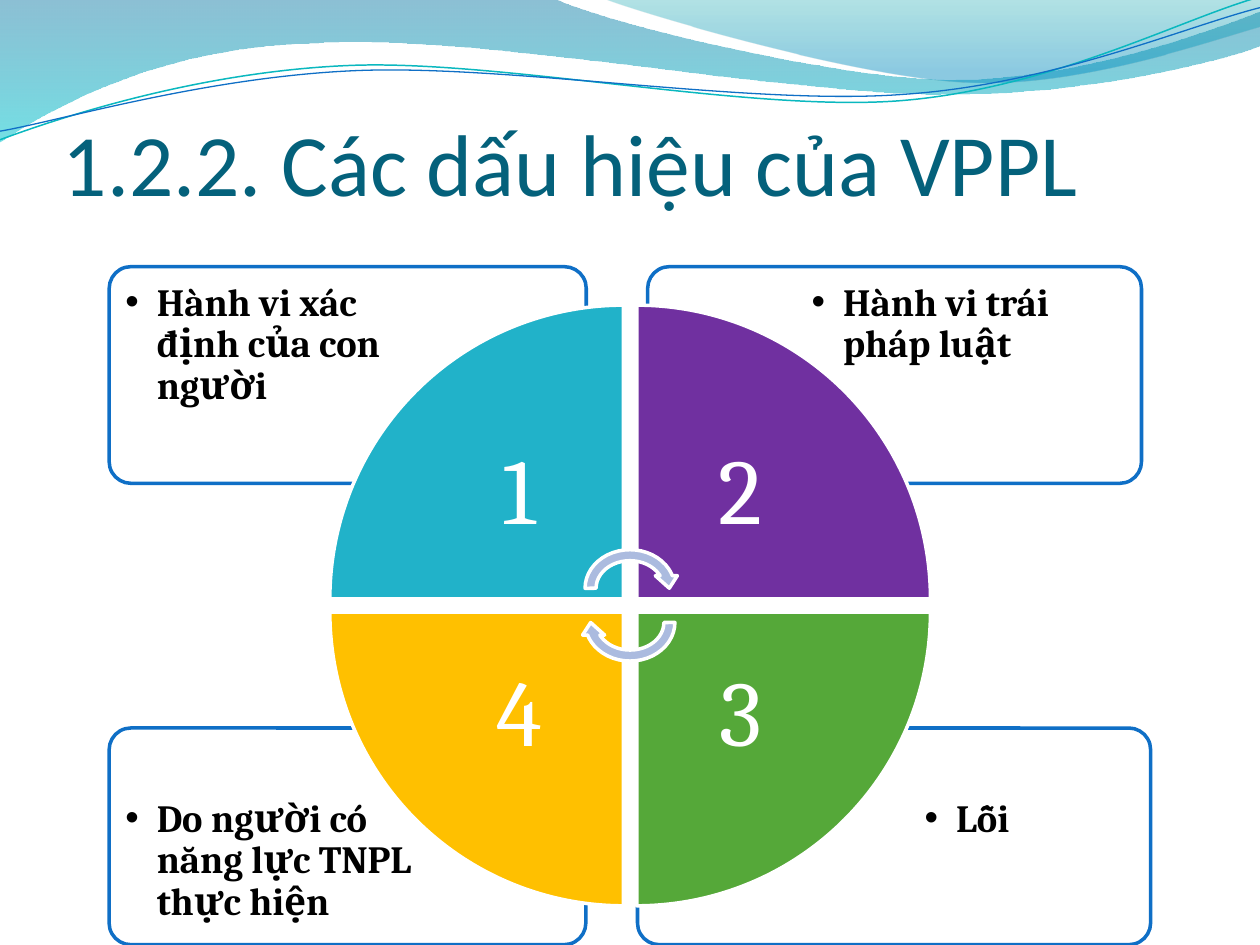
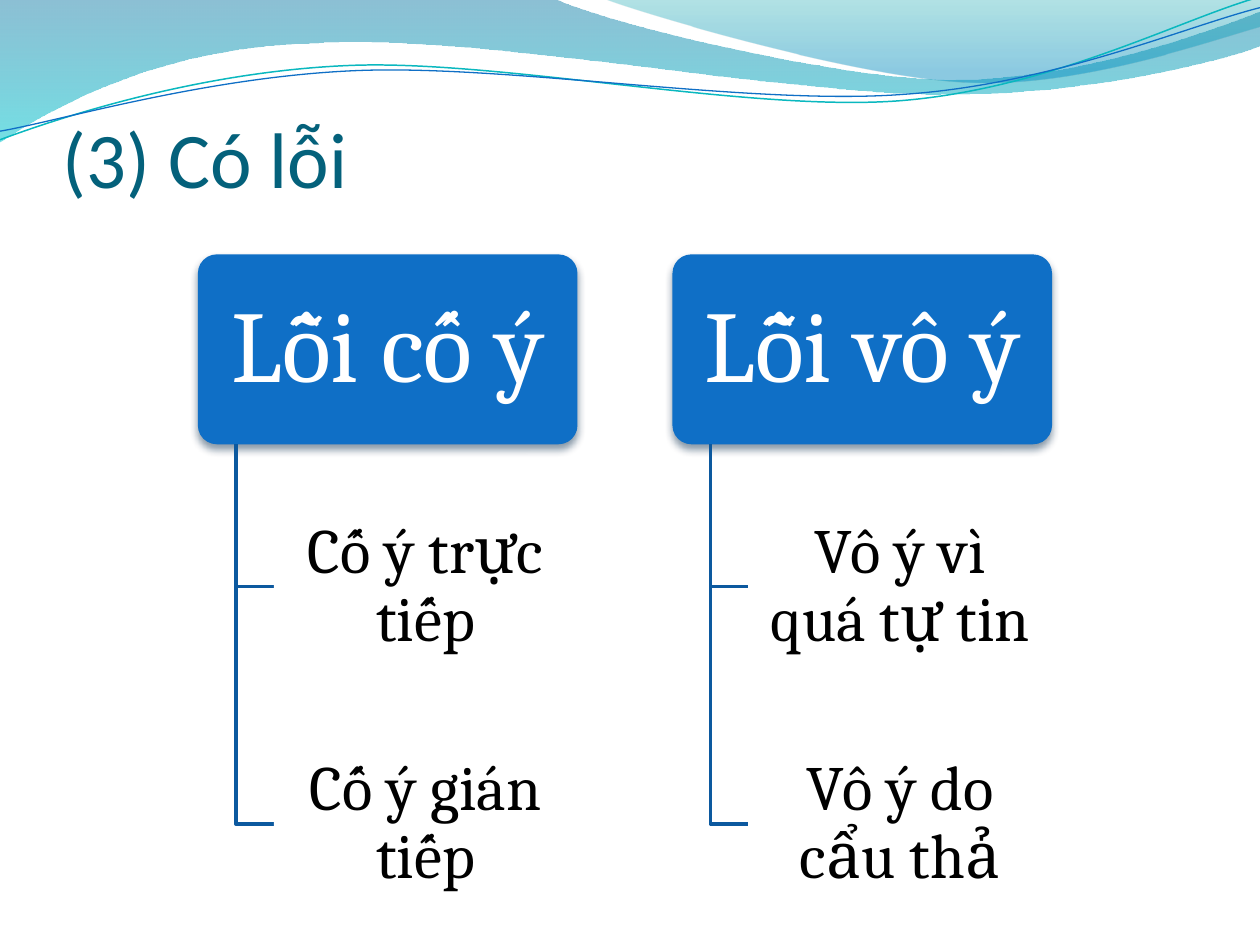
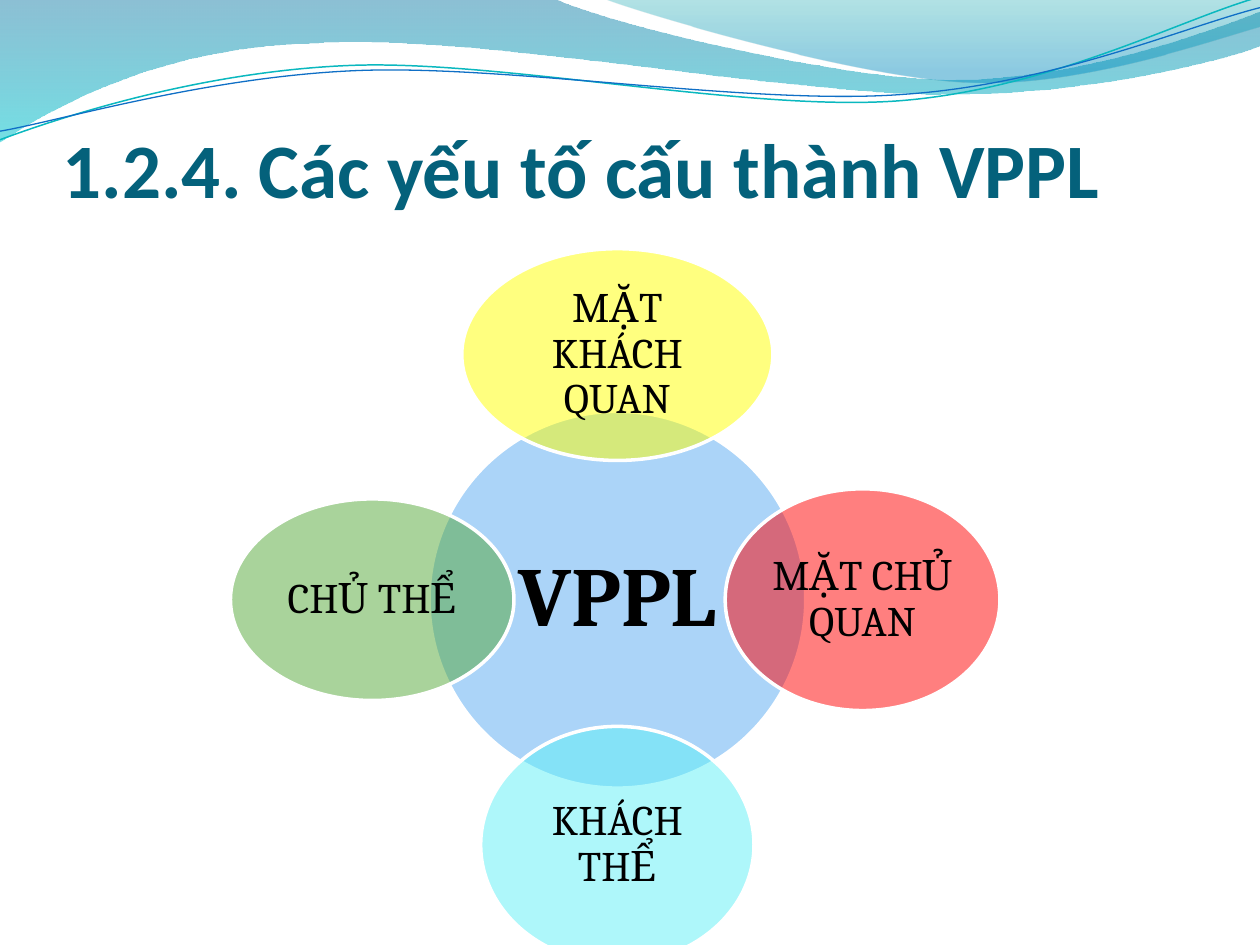
"""Three slides on the signs, faults and elements of a legal violation (VPPL)."""
from lxml import etree
from pptx import Presentation
from pptx.dml.color import RGBColor
from pptx.enum.shapes import MSO_SHAPE
from pptx.enum.text import MSO_ANCHOR, PP_ALIGN
from pptx.oxml.ns import qn
from pptx.util import Pt

LEFT, CENTER = PP_ALIGN.LEFT, PP_ALIGN.CENTER
TOP, MIDDLE, BOTTOM = MSO_ANCHOR.TOP, MSO_ANCHOR.MIDDLE, MSO_ANCHOR.BOTTOM
ROUNDED, OVAL = MSO_SHAPE.ROUNDED_RECTANGLE, MSO_SHAPE.OVAL
WEDGE, CURVED_ARROW = MSO_SHAPE.PIE_WEDGE, MSO_SHAPE.CIRCULAR_ARROW

TITLE_FONT, BODY_FONT = "Calibri", "Cambria"
TITLE_COLOR, BLUE, DARK_BLUE = "04617B", "0F6FC6", "0C599F"
WHITE, BLACK, GREEN = "FFFFFF", "000000", "55A839"
WAVE_TILT = -2.7

# start, segments (2 numbers: line, 6 numbers: curve), gradient stops
WAVE_BANDS = [
    ((0, 0),
     [(316.8, -0.7), (342.7, 12.2, 478.1, 45.4, 545.8, 45.4),
      (614.2, 45.4, 689.8, 18.7, 720, 6.5), (720.7, 25.9),
      (707.8, 31.7, 626.4, 54.7, 537.1, 54), (447.8, 54, 275, 20.2, 185, 24.5),
      (92.9, 25.9, 33.1, 59.8, -0.7, 81.4)],
     [(0, "0074A1", 45), (1, "00C6CF", 55)]),
    ((344.9, -0.7),
     [(366.5, 7.9, 491, 44.6, 553.7, 46.8), (616.3, 49.7, 691.9, 23, 720, 15.1),
      (720, 0)],
     [(0, "00A1A9", 30), (0.8, "008BBF", 45)]),
]
# start, segments, colour, width
WAVE_LINES = [
    ((-1.4, 62.9),
     [(33.7, 51.7, 114, 29.4, 199.8, 29.9), (284.8, 30.3, 425.8, 67.2, 512.4, 64.9),
      (599, 62.4, 676.4, 25.7, 720.2, 15.6)], "0AB8BF", 0.85),
    ((-1.2, 58),
     [(33, 53.8, 118.3, 32.5, 204, 33), (290.5, 33.5, 428.9, 63.8, 515.5, 61.3),
      (601.3, 59.6, 678.5, 30.1, 721.4, 21.4)], BLUE, 0.75),
]

# text, colour, column, row, panel left and width, text left and width, alignment
SIGNS = [
    ("Hành vi xác định của con người", "21B2C9", 0, 0, 62.4, 272.6, 65, 185, LEFT),
    ("Hành vi trái pháp luật", "7030A0", 1, 0, 370.1, 282.2, 457.2, 192.2, LEFT),
    ("Lỗi ", GREEN, 1, 1, 364.3, 293.2, 455, 200, CENTER),
    ("Do người có năng lực TNPL thực hiện", "FFC000", 0, 1, 62.4, 272.4, 65, 185, LEFT),
]
FAULTS = [
    ("Lỗi cố ý", ["Cố ý trực tiếp", "Cố ý gián tiếp"]),
    ("Lỗi vô ý", ["Vô ý vì quá tự tin", "Vô ý do cẩu thả"]),
]
# text, colour, direction from the hub, width, height
ELEMENTS = [
    ("MẶT KHÁCH QUAN", "FFFF00", (0, -1), 177.8, 121),
    ("MẶT CHỦ QUAN", "FF0000", (1, 0), 157, 126.7),
    ("KHÁCH THỂ", "5EF0F7", (0, 1), 156.2, 135.4),
    ("CHỦ THỂ", GREEN, (-1, 0), 162, 115.2),
]


def rgb(color):
    return RGBColor.from_string(color)


def set_alphas(shape, alphas):
    for color, alpha in zip(shape.element.spPr.iter(qn("a:srgbClr")), alphas):
        etree.SubElement(color, qn("a:alpha"), val=str(alpha * 1000))


def paint(shape, fill=None, alpha=100, line=None, width=2):
    shape.shadow.inherit = False
    if fill:
        shape.fill.solid()
        shape.fill.fore_color.rgb = rgb(fill)
        if alpha < 100:
            set_alphas(shape, [alpha])
    else:
        shape.fill.background()
    if line:
        shape.line.color.rgb = rgb(line)
        shape.line.width = Pt(width)
    else:
        shape.line.fill.background()


def add_figure(slide, kind, box, **style):
    figure = slide.shapes.add_shape(kind, *map(Pt, box))
    if kind == ROUNDED:
        figure.adjustments[0] = 0.1
    paint(figure, **style)
    return figure


def write(shape, text, size, color=BLACK, bold=False, font=BODY_FONT, align=CENTER,
          anchor=MIDDLE, insets=(0, 0, 0, 0), spacing=0.9, bullet=False):
    frame = shape.text_frame
    frame.word_wrap = True
    frame.vertical_anchor = anchor
    (frame.margin_left, frame.margin_top,
     frame.margin_right, frame.margin_bottom) = map(Pt, insets)
    paragraph = frame.paragraphs[0]
    paragraph.text = text
    paragraph.alignment = align
    paragraph.line_spacing = spacing
    if bullet:
        properties = paragraph._p.get_or_add_pPr()
        properties.set("marL", str(Pt(18)))
        properties.set("indent", str(Pt(-18)))
        etree.SubElement(properties, qn("a:buFont"), typeface="Arial")
        etree.SubElement(properties, qn("a:buChar"), char="•")
    paragraph.font.name = font
    paragraph.font.size = Pt(size)
    paragraph.font.bold = bold
    paragraph.font.color.rgb = rgb(color)


def add_text(slide, box, text, size, **style):
    write(slide.shapes.add_textbox(*map(Pt, box)), text, size, **style)


def add_outline(slide, start, segments, close=False, **style):
    points = [(Pt(x), Pt(y)) for segment in segments
              for x, y in zip(segment[::2], segment[1::2])]
    builder = slide.shapes.build_freeform(*map(Pt, start))
    builder.add_line_segments(points, close=close)
    outline = builder.convert_to_shape()
    bend(outline, segments)
    paint(outline, **style)
    return outline


def bend(outline, segments):
    geometry = next(outline.element.spPr.iter(qn("a:path")))
    steps = iter(geometry.findall(qn("a:lnTo")))
    for segment in segments:
        controls = [next(steps) for _ in segment[::2]]
        if len(controls) == 3:
            curve = etree.SubElement(geometry, qn("a:cubicBezTo"))
            controls[0].addprevious(curve)
            for control in controls:
                curve.append(control[0])
                geometry.remove(control)


def add_waves(deck, slide):
    waves = []
    for start, segments, stops in WAVE_BANDS:
        band = add_outline(slide, start, segments, close=True)
        band.fill.gradient()
        band.fill.gradient_angle = 270
        for stop, (position, color, _) in zip(band.fill.gradient_stops, stops):
            stop.position = position
            stop.color.rgb = rgb(color)
        set_alphas(band, [alpha for _, _, alpha in stops])
        waves.append(band)
    for start, segments, color, width in WAVE_LINES:
        ripple = add_outline(slide, start, segments, line=color, width=width)
        ripple.rotation = WAVE_TILT
        waves.append(ripple)
    master_tree = deck.slide_master.shapes._spTree
    for number, wave in enumerate(waves, 101):
        wave.element.nvSpPr.cNvPr.set("id", str(number))
        master_tree.append(wave.element)


def start_slide(deck, title, size, height=67, bold=False):
    slide = deck.slides.add_slide(deck.slide_layouts[6])
    if len(deck.slides) == 1:
        add_waves(deck, slide)
    add_text(slide, (36, 55.4, 648, height), title, size, color=TITLE_COLOR, bold=bold,
             font=TITLE_FONT, align=LEFT, anchor=BOTTOM, insets=(0, 3.6, 0, 0), spacing=1)
    return slide


def build_signs(deck):
    slide = start_slide(deck, "1.2.2. Các dấu hiệu của VPPL", 50)
    wedge, number_box, pitch = 167.8, 118.8, 175.4
    wheel_left, wheel_top = 188.5, 174.4
    panel_tops, text_tops = (152.4, 416), (155, 450)
    for text, _, _, row, left, width, text_left, text_width, align in SIGNS:
        add_figure(slide, ROUNDED, (left, panel_tops[row], width, 123.8),
                   fill=WHITE, alpha=90, line=BLUE)
        add_text(slide, (text_left, text_tops[row], text_width, 87.8), text, 22, bold=True,
                 align=align, anchor=TOP, insets=(6.6,) * 4, bullet=True)
    for index, (_, color, column, row, *_) in enumerate(SIGNS):
        left, top = wheel_left + column * pitch, wheel_top + row * pitch
        quarter = add_figure(slide, WEDGE, (left, top, wedge, wedge), fill=color, line=WHITE)
        quarter.rotation = 90 * index
        inward = wedge - number_box
        add_text(slide, (left + (1 - column) * inward, top + (1 - row) * inward,
                         number_box, number_box),
                 str(index + 1), 53, color=WHITE, insets=(29.5,) * 4)
    for top, turn in ((311, 0), (330.5, 180)):
        arrow = add_figure(slide, CURVED_ARROW, (331.2, top, 57.6, 50.4),
                           fill="ABBBDF", line=WHITE)
        arrow.rotation = turn


def add_soft_shadow(shape):
    effects = shape.element.spPr.find(qn("a:effectLst"))
    shadow = etree.SubElement(effects, qn("a:outerShdw"), blurRad=str(Pt(4.5)),
                              dist=str(Pt(3)), dir="5400000", rotWithShape="0")
    color = etree.SubElement(shadow, qn("a:srgbClr"), val="042747")
    etree.SubElement(color, qn("a:alpha"), val="48000")


def build_faults(deck):
    slide = start_slide(deck, "(3) Có lỗi", 45, height=61.2)
    first_left, top, column_step, row_step = 113.1, 145.4, 271.2, 135.6
    width, height, child_indent = 216.9, 108.5, 43.4
    for column, (fault, kinds) in enumerate(FAULTS):
        left = first_left + column * column_step
        heading = add_figure(slide, ROUNDED, (left, top, width, height), fill=BLUE)
        add_soft_shadow(heading)
        write(heading, fault, 58, color=WHITE, insets=(8.6, 5.8, 8.6, 5.8))
        child_left, stem = left + child_indent, left + child_indent / 2
        for row, kind in enumerate(kinds, 1):
            child_top = top + row * row_step
            middle = child_top + height / 2
            add_outline(slide, (stem, top + height), [(stem, middle), (child_left, middle)],
                        line=DARK_BLUE)
            child = add_figure(slide, ROUNDED,
                               (child_left, child_top, width - child_indent, height),
                               fill=WHITE, alpha=90)
            write(child, kind, 36, insets=(5, 3.6, 5, 3.6))


def build_elements(deck):
    slide = start_slide(deck, "1.2.4. Các yếu tố cấu thành VPPL", 44, bold=True)
    hub_x, hub_y, hub_size, orbit = 352.8, 342.7, 215.3, 140.1

    def add_oval(text, color, direction, width, height, size=24, bold=False, inset=2.2):
        left = hub_x + direction[0] * orbit - width / 2
        top = hub_y + direction[1] * orbit - height / 2
        oval = add_figure(slide, OVAL, (left, top, width, height),
                          fill=color, alpha=50, line=WHITE)
        write(oval, text, size, bold=bold, insets=(inset,) * 4)

    add_oval("VPPL", "59AAF2", (0, 0), hub_size, hub_size, size=48, bold=True, inset=5)
    for element in ELEMENTS:
        add_oval(*element)


def main():
    deck = Presentation()
    deck.slide_width, deck.slide_height = Pt(720), Pt(540)
    build_signs(deck)
    build_faults(deck)
    build_elements(deck)
    deck.save("out.pptx")


if __name__ == "__main__":
    main()
